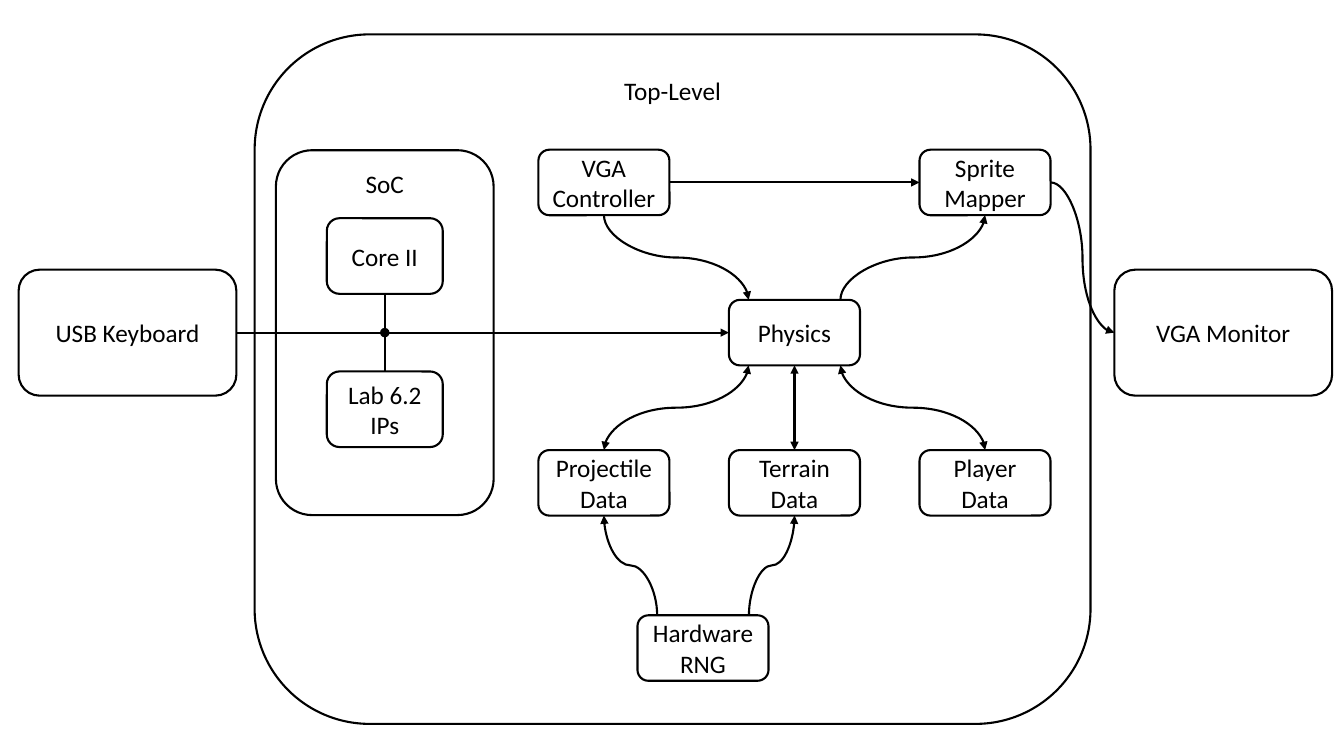
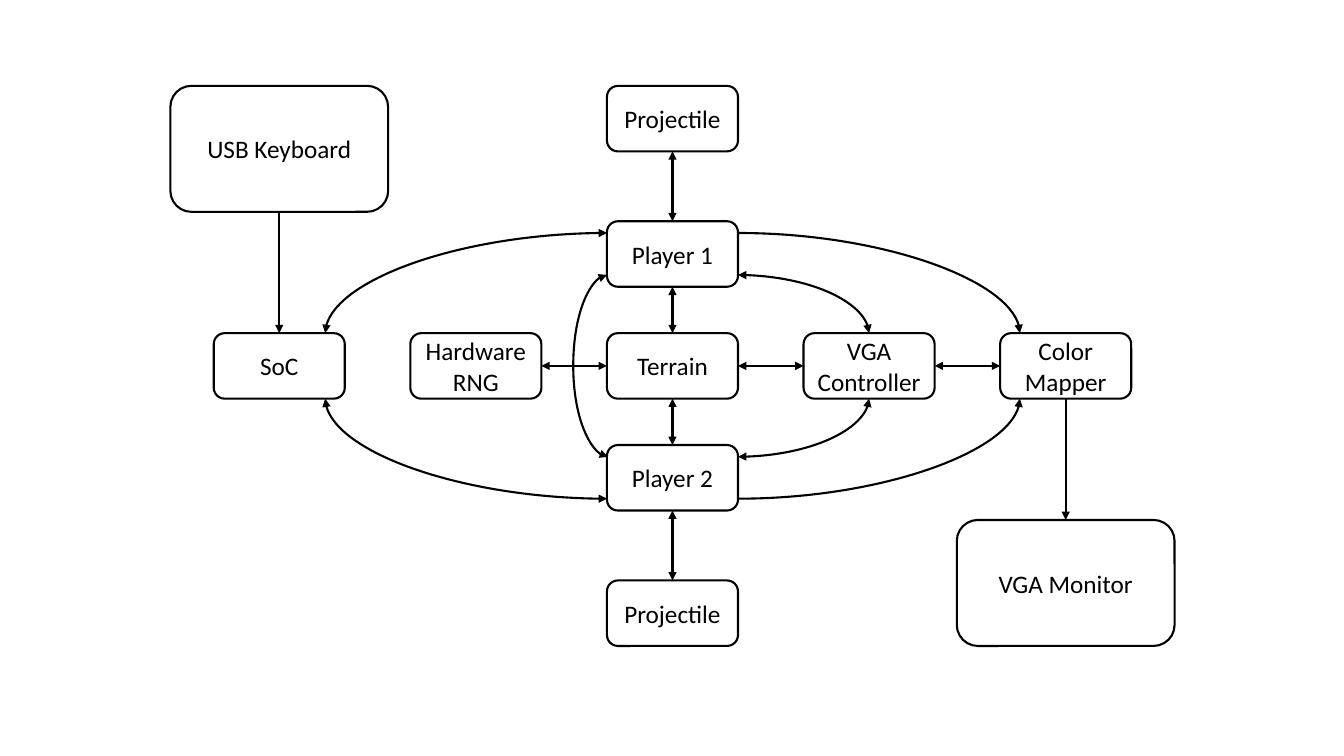
import pptx
import pptx.util
import pptx.dml.color
import pptx.enum.shapes
import pptx.enum.text
import pptx.oxml.ns
import lxml.etree

BLACK = pptx.dml.color.RGBColor(0, 0, 0)
WIDTH, HEIGHT = 13.33, 7.5
FONT, FONT_SIZE, LINE_WIDTH = "Calibri", 18, 1.5

# Box sizes in inches
MODULE, DEVICE, CORE = (1.3, 0.65), (2.16, 1.25), (1.15, 0.75)
SOC, TOP_LEVEL, JUNCTION = (2.16, 3.62), (8.29, 6.84), (0.08, 0.08)

# Where a wire meets a box, as shares of the box
PORTS = {
    "top": (0.5, 0), "top-left": (0.15, 0), "top-right": (0.85, 0),
    "bottom": (0.5, 1), "bottom-left": (0.15, 1), "bottom-right": (0.85, 1),
    "left": (0, 0.5), "left-upper": (0, 0.18), "left-lower": (0, 0.82),
    "right": (1, 0.5), "right-upper": (1, 0.18), "right-lower": (1, 0.82),
}

# Boxes: key -> (text, column, row, size); wires: (from, port, to, port, arrows)
# Columns and rows count from the box at the grid's origin
HARDWARE = {
    "origin": (7.88, 3.3),
    "pitch": (1.89, 1.49),
    "frames": {
        "top level": ("Top-Level", -0.64, 0.31, TOP_LEVEL),
        "soc": ("SoC", -2.15, 0, SOC),
    },
    "boxes": {
        "core": ("Core II", -2.15, -0.51, CORE),
        "lab": ("Lab 6.2 IPs", -2.15, 0.51, CORE),
        "controller": ("VGA\nController", -1, -1, MODULE),
        "mapper": ("Sprite\nMapper", 1, -1, MODULE),
        "physics": ("Physics", 0, 0, MODULE),
        "projectile": ("Projectile\nData", -1, 1, MODULE),
        "terrain": ("Terrain\nData", 0, 1, MODULE),
        "player": ("Player\nData", 1, 1, MODULE),
        "rng": ("Hardware\nRNG", -0.48, 2.1, MODULE),
        "keyboard": ("USB Keyboard", -3.5, 0, DEVICE),
        "monitor": ("VGA Monitor", 2.25, 0, DEVICE),
    },
    "junctions": [(-2.15, 0)],
    "wires": [
        ("keyboard", "right", "soc", "left", "none"),
        ("soc", "left", "physics", "left", "end"),
        ("core", "bottom", "lab", "top", "none"),
        ("controller", "right", "mapper", "left", "end"),
        ("controller", "bottom", "physics", "top-left", "end"),
        ("physics", "top-right", "mapper", "bottom", "end"),
        ("physics", "bottom-left", "projectile", "top", "both"),
        ("physics", "bottom", "terrain", "top", "both"),
        ("physics", "bottom-right", "player", "top", "both"),
        ("rng", "top-left", "projectile", "bottom", "end"),
        ("rng", "top-right", "terrain", "bottom", "end"),
        ("mapper", "right", "monitor", "left", "end"),
    ],
}
GAME = {
    "origin": (6.67, 3.63),
    "pitch": (1.95, 1.11),
    "frames": {},
    "boxes": {
        "keyboard": ("USB Keyboard", -2, -1.94, DEVICE),
        "soc": ("SoC", -2, 0, MODULE),
        "rng": ("Hardware\nRNG", -1, 0, MODULE),
        "projectile 1": ("Projectile", 0, -2.21, MODULE),
        "player 1": ("Player 1", 0, -1, MODULE),
        "terrain": ("Terrain", 0, 0, MODULE),
        "player 2": ("Player 2", 0, 1, MODULE),
        "projectile 2": ("Projectile", 0, 2.21, MODULE),
        "controller": ("VGA\nController", 1, 0, MODULE),
        "mapper": ("Color\nMapper", 2, 0, MODULE),
        "monitor": ("VGA Monitor", 2, 1.94, DEVICE),
    },
    "junctions": [],
    "wires": [
        ("keyboard", "bottom", "soc", "top", "end"),
        ("mapper", "bottom", "monitor", "top", "end"),
        ("player 1", "top", "projectile 1", "bottom", "both"),
        ("terrain", "top", "player 1", "bottom", "both"),
        ("terrain", "bottom", "player 2", "top", "both"),
        ("projectile 2", "top", "player 2", "bottom", "both"),
        ("terrain", "left", "rng", "right", "both"),
        ("controller", "left", "terrain", "right", "both"),
        ("mapper", "left", "controller", "right", "both"),
        ("soc", "top-right", "player 1", "left-upper", "both"),
        ("soc", "bottom-right", "player 2", "left-lower", "both"),
        ("player 1", "right-lower", "controller", "top", "both"),
        ("player 2", "right-upper", "controller", "bottom", "both"),
        ("player 1", "right-upper", "mapper", "top-left", "end"),
        ("player 2", "right-lower", "mapper", "bottom-left", "end"),
        ("player 1", "left-lower", "player 2", "left-upper", "both"),
    ],
}
LOOP_REACH = 0.34  # how far a wire between two left sides swings out


def inches(*lengths):
    return [pptx.util.Inches(length) for length in lengths]


def write(shape, text, *, size=FONT_SIZE, color=BLACK, anchor="MIDDLE", top=0.05):
    frame = shape.text_frame
    frame.word_wrap = True
    frame.vertical_anchor = getattr(pptx.enum.text.MSO_ANCHOR, anchor)
    frame.margin_top = pptx.util.Inches(top)
    frame.text = text
    for paragraph in frame.paragraphs:
        paragraph.alignment = pptx.enum.text.PP_ALIGN.CENTER
        paragraph.font.name = FONT
        paragraph.font.size = pptx.util.Pt(size)
        paragraph.font.color.rgb = color


def draw_outline(slide, place, preset="ROUNDED_RECTANGLE", width=LINE_WIDTH):
    kind = getattr(pptx.enum.shapes.MSO_SHAPE, preset)
    outline = slide.shapes.add_shape(kind, *inches(*place))
    outline.shadow.inherit = False
    outline.fill.background()
    outline.line.color.rgb = BLACK
    outline.line.width = pptx.util.Pt(width)
    return outline


def style_wire(wire, arrows):
    wire.line.color.rgb = BLACK
    wire.line.width = pptx.util.Pt(LINE_WIDTH)
    ends = {"none": [], "end": ["a:tailEnd"], "both": ["a:headEnd", "a:tailEnd"]}
    line = wire.line._get_or_add_ln()
    for tag in ends[arrows]:
        lxml.etree.SubElement(line, pptx.oxml.ns.qn(tag), type="triangle")
    lxml.etree.SubElement(wire._element.spPr, pptx.oxml.ns.qn("a:effectLst"))


def add_curve(slide, start, end, upright, turns, bend=None):
    """Curve that leaves vertically if upright; turns is 2 or 3 segments."""
    (x1, y1), (x2, y2) = start, end
    dx, dy = x2 - x1, y2 - y1
    wide, high = (abs(dy), abs(dx)) if upright else (abs(dx), abs(dy))
    left, top = (x1 + x2 - wide) / 2, (y1 + y2 - high) / 2
    curve = slide.shapes.add_connector(
        pptx.enum.shapes.MSO_CONNECTOR.CURVE,
        *inches(left, top, left + wide, top + high))
    frame, outline = curve._element.spPr.xfrm, curve._element.spPr.prstGeom
    flip_h, flip_v = dx < 0, dy < 0
    if upright:
        frame.set("rot", str((90 if (dx > 0) != (dy > 0) else 270) * 60000))
        flip_h = dx > 0
    for name, flipped in (("flipH", flip_h), ("flipV", flip_v)):
        if flipped:
            frame.set(name, "1")
    outline.set("prst", f"curvedConnector{turns}")
    if bend is not None:
        guide = lxml.etree.SubElement(
            outline.get_or_add_avLst(), pptx.oxml.ns.qn("a:gd"))
        guide.set("name", "adj1")
        guide.set("fmla", f"val {round(bend * 100000)}")
    return curve


def connect(slide, places, source, out_port, target, in_port, arrows):
    def meet(box, port):
        left, top, width, height = places[box]
        across, down = PORTS[port]
        return left + width * across, top + height * down

    start, end = meet(source, out_port), meet(target, in_port)
    leaves_upright, enters_upright = (
        PORTS[port][1] in (0, 1) for port in (out_port, in_port))
    aligned = any(abs(a - b) < 0.02 for a, b in zip(start, end))
    if aligned and out_port.startswith("left-"):
        sliver = 0.01  # the bend is a multiple of the width, so it cannot be 0
        wire = add_curve(slide, start, (end[0] + sliver, end[1]), False, 3,
                         bend=-LOOP_REACH / sliver)
    elif aligned:
        wire = slide.shapes.add_connector(
            pptx.enum.shapes.MSO_CONNECTOR.STRAIGHT, *inches(*start, *end))
    else:
        turns = 3 if leaves_upright == enters_upright else 2
        wire = add_curve(slide, start, end, leaves_upright, turns)
    style_wire(wire, arrows)


def draw_diagram(deck, diagram):
    slide = deck.slides.add_slide(deck.slide_layouts[6])

    def locate(column, row, size):
        center = [origin + step * pitch for origin, step, pitch in
                  zip(diagram["origin"], (column, row), diagram["pitch"])]
        return (center[0] - size[0] / 2, center[1] - size[1] / 2, *size)

    # Frames carry their label at the top, boxes in the middle
    places = {}
    for group, label in (("frames", {"anchor": "TOP", "top": 0.07}), ("boxes", {})):
        for key, (text, column, row, size) in diagram[group].items():
            places[key] = locate(column, row, size)
            write(draw_outline(slide, places[key]), text, **label)

    # Wires and their junctions
    for wire in diagram["wires"]:
        connect(slide, places, *wire)
    for column, row in diagram["junctions"]:
        dot = draw_outline(slide, locate(column, row, JUNCTION), "OVAL", 1)
        dot.fill.solid()
        dot.fill.fore_color.rgb = BLACK


deck = pptx.Presentation()
deck.slide_width, deck.slide_height = inches(WIDTH, HEIGHT)
for diagram in (HARDWARE, GAME):
    draw_diagram(deck, diagram)
deck.save("out.pptx")
